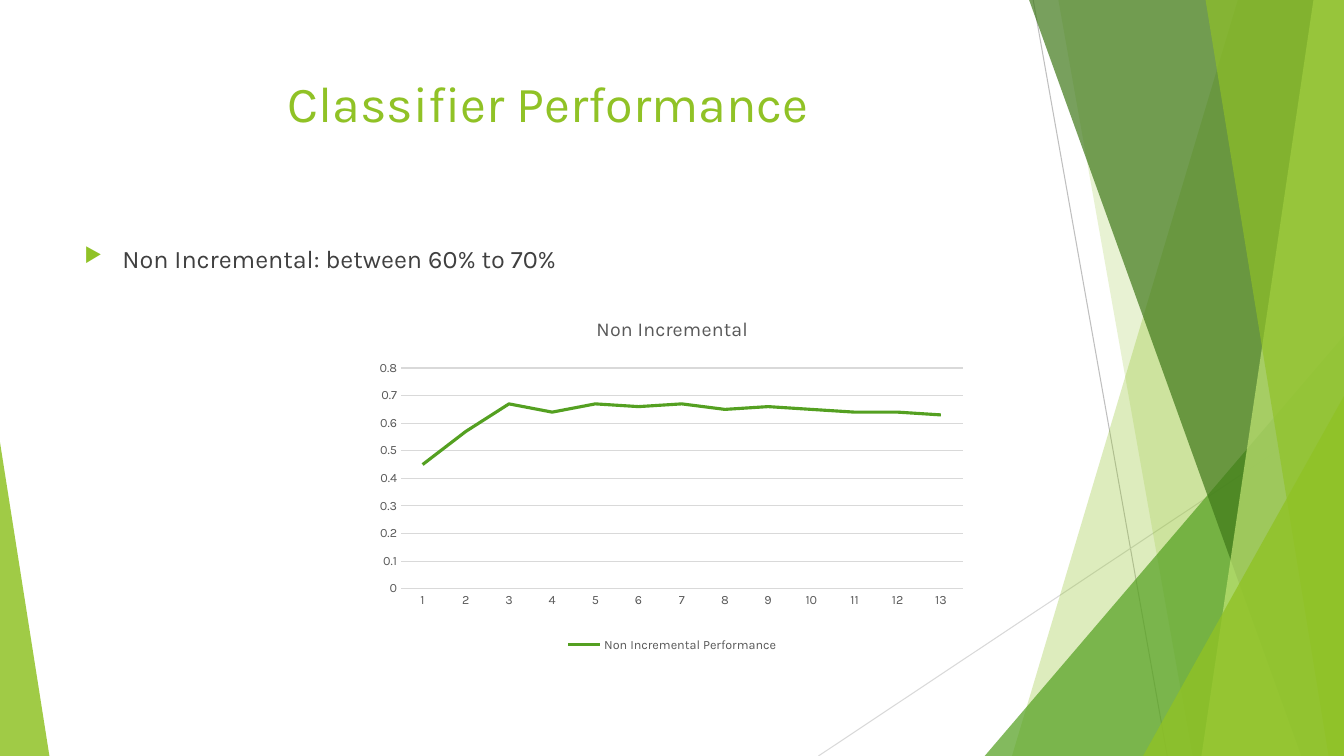
import dataclasses

import lxml.etree
import pptx
import pptx.chart.data
import pptx.dml.color
import pptx.enum.chart
import pptx.enum.shapes
import pptx.enum.text
import pptx.oxml.ns
import pptx.util

Pt = pptx.util.Pt
qn = pptx.oxml.ns.qn


@dataclasses.dataclass(frozen=True)
class Theme:
    font: str = "Karla"
    lime: str = "90C226"
    green: str = "54A021"
    forest: str = "3F7819"
    pale: str = "C0E474"
    text: str = "404040"
    chart_text: str = "595959"
    dark_rule: str = "BFBFBF"
    light_rule: str = "D9D9D9"
    title_size: float = 36
    body_size: float = 18
    chart_title_size: float = 14
    label_size: float = 9
    rule_width: float = 0.75
    series_width: float = 2.25


@dataclasses.dataclass(frozen=True)
class Rule:
    start: tuple[float, float]
    end: tuple[float, float]
    color: str


@dataclasses.dataclass(frozen=True)
class Panel:
    top_x: float
    bottom_x: float
    color: str
    opacity: int


@dataclasses.dataclass(frozen=True)
class Wedge:
    left: float
    top: float
    width: float
    peak: float
    color: str
    opacity: int


THEME = Theme()
WIDTH, HEIGHT = 960, 540
RULES = [
    Rule((738, 0), (833.8, HEIGHT), THEME.dark_rule),
    Rule((WIDTH, 290.2), (584.6, HEIGHT), THEME.light_rule),
]
FACETS = [
    Panel(884.2, 722.9, THEME.lime, 30),
    Panel(756, 851.8, THEME.lime, 20),
    Wedge(703.4, 239.8, 256.6, 1, THEME.green, 72),
    Panel(735.1, 929.5, THEME.forest, 70),
    Panel(938.2, 858.2, THEME.pale, 70),
    Panel(861.1, 949, THEME.lime, 65),
    Wedge(816.5, 283, 143.5, 1, THEME.lime, 80),
    Wedge(0, 316, 35.3, 0, THEME.lime, 85),
]
PERFORMANCE = [0.45, 0.57, 0.67, 0.64, 0.67, 0.66, 0.67, 0.65, 0.66, 0.65, 0.64, 0.64, 0.63]


def rgb(color: str) -> pptx.dml.color.RGBColor:
    return pptx.dml.color.RGBColor.from_string(color)


def style_font(font, size: float, color: str) -> None:
    font.name = THEME.font
    font.size = Pt(size)
    font.bold = False
    font.color.rgb = rgb(color)


def style_line(line, color: str, width: float) -> None:
    line.color.rgb = rgb(color)
    line.width = Pt(width)


def add_child(parent, tag: str, **attributes: str):
    return lxml.etree.SubElement(parent, qn(tag), attributes)


def add_run(paragraph, text: str, size: float, color: str) -> None:
    run = paragraph.add_run()
    run.text = text
    style_font(run.font, size, color)


def draw_rule(slide, rule: Rule) -> None:
    connector = slide.shapes.add_connector(
        pptx.enum.shapes.MSO_CONNECTOR.STRAIGHT, *map(Pt, rule.start + rule.end))
    style_line(connector.line, rule.color, THEME.rule_width)
    add_child(connector.element.spPr, "a:effectLst")


def draw_facet(slide, facet: Panel | Wedge) -> None:
    if isinstance(facet, Panel):
        builder = slide.shapes.build_freeform(Pt(facet.top_x), 0)
        corners = [(WIDTH, 0), (WIDTH, HEIGHT), (facet.bottom_x, HEIGHT)]
        builder.add_line_segments([(Pt(x), Pt(y)) for x, y in corners], close=True)
        shape = builder.convert_to_shape()
    else:
        shape = slide.shapes.add_shape(
            pptx.enum.shapes.MSO_SHAPE.ISOSCELES_TRIANGLE, Pt(facet.left), Pt(facet.top),
            Pt(facet.width), Pt(HEIGHT - facet.top))
        shape.adjustments[0] = facet.peak
    shape.shadow.inherit = False
    shape.line.fill.background()
    shape.fill.solid()
    shape.fill.fore_color.rgb = rgb(facet.color)
    color = shape.element.spPr.find(".//" + qn("a:srgbClr"))
    add_child(color, "a:alpha", val=str(facet.opacity * 1000))


def place_title(slide, text: str) -> None:
    title = slide.shapes.title
    title.left, title.top, title.width, title.height = map(Pt, (53.3, 48.2, 676.8, 103.7))
    frame = title.text_frame
    frame.auto_size = pptx.enum.text.MSO_AUTO_SIZE.NONE
    frame.vertical_anchor = pptx.enum.text.MSO_ANCHOR.TOP
    paragraph = frame.paragraphs[0]
    paragraph.alignment = pptx.enum.text.PP_ALIGN.CENTER
    add_run(paragraph, text, THEME.title_size, THEME.lime)
    title.element.getparent().append(title.element)


def add_bullet(slide, text: str) -> None:
    box = slide.shapes.add_textbox(*map(Pt, (53.3, 170, 676.8, 305.3)))
    box.text_frame.word_wrap = True
    paragraph = box.text_frame.paragraphs[0]
    paragraph.space_before = Pt(10)
    add_run(paragraph, text, THEME.body_size, THEME.text)
    properties = paragraph.space_before and paragraph._p.get_or_add_pPr()
    properties.set("marL", str(Pt(27)))
    properties.set("indent", str(-Pt(27)))
    add_child(add_child(properties, "a:buClr"), "a:srgbClr", val=THEME.lime)
    add_child(properties, "a:buSzPct", val="80000")
    add_child(properties, "a:buChar", char="▶")


def set_plot_area(chart, x: float, y: float, w: float, h: float) -> None:
    plot_area = chart.element.find(".//" + qn("c:plotArea"))
    for existing in plot_area.findall(qn("c:layout")):
        plot_area.remove(existing)
    layout = lxml.etree.Element(qn("c:layout"))
    plot_area.insert(0, layout)
    manual = add_child(layout, "c:manualLayout")
    settings = {"layoutTarget": "inner", "xMode": "edge", "yMode": "edge",
                "x": x, "y": y, "w": w, "h": h}
    for name, value in settings.items():
        add_child(manual, f"c:{name}", val=str(value))


def add_performance_chart(slide) -> None:
    data = pptx.chart.data.CategoryChartData()
    data.categories = [str(number) for number in range(1, len(PERFORMANCE) + 1)]
    data.add_series("Non Incremental Performance", PERFORMANCE)
    chart = slide.shapes.add_chart(
        pptx.enum.chart.XL_CHART_TYPE.LINE, *map(Pt, (254.9, 214.6, 450.7, 254.2)), data).chart
    style_font(chart.font, THEME.label_size, THEME.chart_text)
    chart.has_title = True
    add_run(chart.chart_title.text_frame.paragraphs[0], "Non Incremental",
            THEME.chart_title_size, THEME.chart_text)
    chart.chart_title.include_in_layout = False
    chart.has_legend = True
    chart.legend.position = pptx.enum.chart.XL_LEGEND_POSITION.BOTTOM
    chart.legend.include_in_layout = False
    for part in (chart.legend, chart.category_axis.tick_labels, chart.value_axis.tick_labels):
        style_font(part.font, THEME.label_size, THEME.chart_text)
    for axis in (chart.category_axis, chart.value_axis):
        axis.major_tick_mark = axis.minor_tick_mark = pptx.enum.chart.XL_TICK_MARK.NONE
    style_line(chart.category_axis.format.line, THEME.light_rule, THEME.rule_width)
    values = chart.value_axis
    values.minimum_scale, values.maximum_scale, values.major_unit = 0, 0.8, 0.1
    values.tick_labels.number_format = "General"
    values.tick_labels.number_format_is_linked = False
    values.format.line.fill.background()
    style_line(values.major_gridlines.format.line, THEME.light_rule, THEME.rule_width)
    chart.plots[0].vary_by_categories = False
    series = chart.plots[0].series[0]
    series.smooth = False
    style_line(series.format.line, THEME.green, THEME.series_width)
    set_plot_area(chart, 0.07, 0.19, 0.89, 0.62)


presentation = pptx.Presentation()
presentation.slide_width, presentation.slide_height = Pt(WIDTH), Pt(HEIGHT)
slide = presentation.slides.add_slide(presentation.slide_layouts.get_by_name("Title Only"))
for rule in RULES:
    draw_rule(slide, rule)
for facet in FACETS:
    draw_facet(slide, facet)
place_title(slide, "Classifier Performance")
add_bullet(slide, "Non Incremental: between 60% to 70%")
add_performance_chart(slide)
presentation.save("out.pptx")
